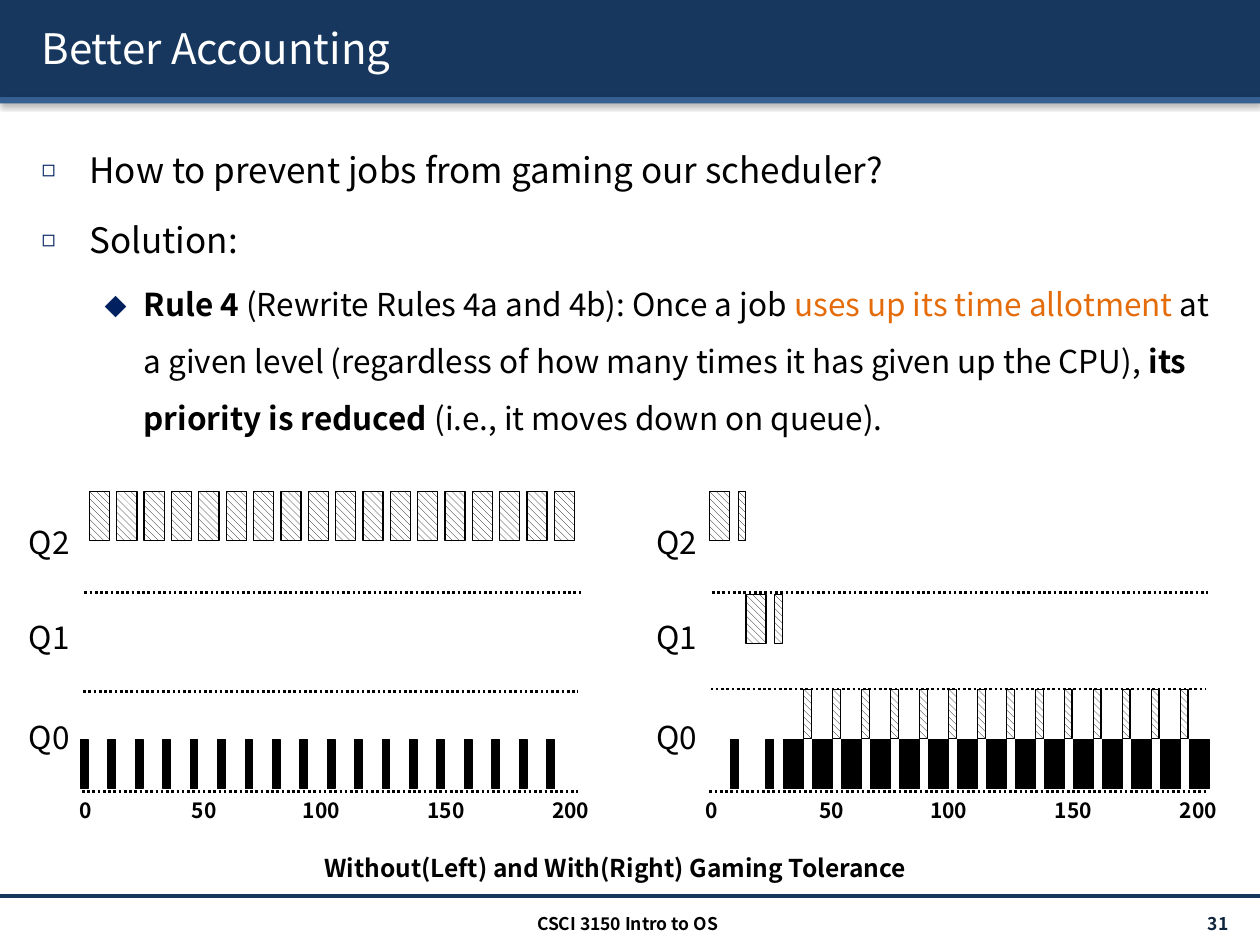
from lxml import etree
from pptx import Presentation
from pptx import util as u
from pptx.dml.color import RGBColor
from pptx.enum import dml, shapes, text
from pptx.oxml import ns

COLORS = {"navy": "17375E", "blue": "376092", "bullet": "002060", "orange": "E46C0A",
          "number": "0F243E", "black": "000000", "white": "FFFFFF"}
RGB = {name: RGBColor.from_string(value) for name, value in COLORS.items()}
FONT = "Noto Sans CJK KR"
ALIGN = text.PP_ALIGN
SHADOW = ('<a:effectLst xmlns:a="http://schemas.openxmlformats.org/drawingml/2006/main">'
          '<a:outerShdw blurRad="{}" dist="{}" dir="{}" algn="tl" rotWithShape="0">'
          '<a:srgbClr val="000000"><a:alpha val="{}"/></a:srgbClr>'
          '</a:outerShdw></a:effectLst>')


def add_text(parent, words, box, size, align, bold=False, color="black", middle=False):
    tb = parent.add_textbox(*map(u.Inches, box))
    tf = tb.text_frame
    tf.word_wrap = True
    tf.vertical_anchor = text.MSO_ANCHOR.MIDDLE if middle else text.MSO_ANCHOR.TOP
    p = tf.paragraphs[0]
    p.alignment = align
    r = p.add_run()
    r.text = words
    for key, value in {"name": FONT, "size": u.Pt(size), "bold": bold}.items():
        setattr(r.font, key, value)
    r.font.color.rgb = RGB[color]


def add_line(parent, x1, x2, y, color, width, dash=None):
    line = parent.add_connector(shapes.MSO_CONNECTOR.STRAIGHT,
                                *map(u.Inches, (x1, y, x2, y)))
    line.line.color.rgb = RGB[color]
    line.line.width = u.Pt(width)
    line.line.dash_style = dash
    etree.SubElement(line.element.spPr, ns.qn("a:effectLst"))


prs = Presentation()
prs.slide_width, prs.slide_height = u.Inches(10), u.Inches(7.5)
s = prs.slides.add_slide(prs.slide_layouts[1])
title, body = s.placeholders

# Header band and footer rule, behind the text
for top, height, color in ((0, 0.77, "navy"), (0.77, 0.05, "blue")):
    sp = s.shapes.add_shape(shapes.MSO_SHAPE.RECTANGLE, 0, u.Inches(top),
                            u.Inches(10), u.Inches(height))
    sp.fill.solid()
    sp.fill.fore_color.rgb = RGB[color]
    sp.line.fill.background()
    sp.element.spPr.append(etree.fromstring(SHADOW.format(39370, 20320, 5400000, 38000)))
    title.element.addprevious(sp.element)
add_line(s.shapes, 0, 10, 7.11, "navy", 2)

# Title
for ph, box in ((title, (0.23, 0.06, 9.61, 0.64)), (body, (0.23, 0.96, 9.61, 6.02))):
    ph.left, ph.top, ph.width, ph.height = map(u.Inches, box)
    ph.text_frame.auto_size = text.MSO_AUTO_SIZE.NONE
tf = title.text_frame
tf.vertical_anchor = text.MSO_ANCHOR.MIDDLE
p = tf.paragraphs[0]
p.alignment = ALIGN.LEFT
r = p.add_run()
r.text = "Better Accounting"
r.font.color.rgb = RGB["white"]
r.font.size = u.Pt(24)
r.font._element.append(etree.fromstring(SHADOW.format(0, 25400, 2700000, 100000)))
r.font.name = FONT

# Bullet list: level, runs of (words, bold, color)
bullets = [
    (0, [("How to prevent jobs from gaming our scheduler?", False, "black")]),
    (0, [("Solution:", False, "black")]),
    (1, [("Rule 4 ", True, "black"),
         ("(Rewrite Rules 4a and 4b): Once a job ", False, "black"),
         ("uses up its time allotment ", False, "orange"),
         ("at a given level (regardless of how many times it has given up the CPU), ",
          False, "black"),
         ("its priority is reduced ", True, "black"),
         ("(i.e., it moves down on queue).", False, "black")]),
]
# Per level: text size, left margin, hanging indent, bullet, bullet size in percent
levels = [(20, 0.38, -0.38, "◻", 65), (18, 0.81, -0.31, "⬥", 100)]
tf = body.text_frame
for i, (level, runs) in enumerate(bullets):
    size, margin, indent, char, percent = levels[level]
    p = tf.paragraphs[0] if i == 0 else tf.add_paragraph()
    for key, value in {"level": level, "line_spacing": 1.5,
                       "space_before": u.Pt(size * 0.2)}.items():
        setattr(p, key, value)
    pPr = p._p.get_or_add_pPr()
    pPr.set("marL", str(u.Inches(margin)))
    pPr.set("indent", str(u.Inches(indent)))
    clr = etree.SubElement(pPr, ns.qn("a:buClr"))
    etree.SubElement(clr, ns.qn("a:srgbClr"), val=COLORS["bullet"])
    etree.SubElement(pPr, ns.qn("a:buSzPct"), val=str(percent * 1000))
    etree.SubElement(pPr, ns.qn("a:buChar"), char=char)
    for words, bold, color in runs:
        r = p.add_run()
        r.text = words
        for key, value in {"name": FONT, "size": u.Pt(size), "bold": bold}.items():
            setattr(r.font, key, value)
        r.font.color.rgb = RGB[color]

# Footer
add_text(s.shapes, "31 ", (8.71, 7.21, 1.17, 0.24), 10, ALIGN.RIGHT, True, "number", True)
add_text(s.shapes, "CSCI 3150 Intro to OS", (3.32, 7.2, 3.32, 0.24), 10, ALIGN.CENTER, True)

# Timelines. Bar rows: first left, top, width, count, pitch, hatched
WIDE, NARROW = 0.16, 0.06
timelines = [
    {"labels": -0.04,
     "lines": [(0.67, 4.61, 4.7), (0.66, 4.59, 5.49), (0.65, 4.59, 6.28)],
     "ticks": [0.65, 1.62, 2.55, 3.54, 4.53],
     "bars": [(0.64, 5.87, NARROW, 18, 3.7 / 17, False),
              (0.71, 3.9, WIDE, 18, 3.69 / 17, True)]},
    {"labels": 4.94,
     "lines": [(5.65, 9.59, 4.7), (5.64, 9.57, 5.47), (5.63, 9.57, 6.28)],
     "ticks": [5.62, 6.6, 7.53, 8.52, 9.51],
     "bars": [(5.63, 3.9, WIDE, 1, 0, True), (5.86, 3.9, NARROW, 1, 0, True),
              (5.92, 4.72, WIDE, 1, 0, True), (6.15, 4.72, NARROW, 1, 0, True),
              (5.8, 5.87, NARROW, 2, 0.28, False),
              (6.22, 5.87, WIDE, 15, 0.23, False),
              (6.38, 5.47, NARROW, 14, 0.23, True)]},
]
for timeline in timelines:
    group = s.shapes.add_group_shape().shapes
    for x1, x2, y in timeline["lines"]:
        add_line(group, x1, x2, y, "black", 1.5, dml.MSO_LINE.ROUND_DOT)
    for i, center in enumerate(timeline["ticks"]):
        width = (0.24, 0.47, 0.61, 0.61, 0.61)[i]
        add_text(group, str(50 * i), (center - width / 2, 6.28, width, 0.3),
                 12, ALIGN.CENTER, True)
    for queue, top in (("Q2", 4.1), ("Q1", 4.86), ("Q0", 5.65)):
        add_text(group, queue, (timeline["labels"], top, 0.69, 0.4), 18, ALIGN.RIGHT)
    for left, top, width, count, pitch, hatched in timeline["bars"]:
        for i in range(count):
            bar = group.add_shape(shapes.MSO_SHAPE.RECTANGLE,
                                  *map(u.Inches, (left + i * pitch, top, width, 0.39)))
            bar.shadow.inherit = False
            if hatched:
                bar.fill.patterned()
                bar.fill.pattern = dml.MSO_PATTERN.WIDE_DOWNWARD_DIAGONAL
                bar.fill.back_color.rgb = RGB["white"]
            else:
                bar.fill.solid()
            bar.fill.fore_color.rgb = RGB["black"]
            bar.line.color.rgb = RGB["black"]
            bar.line.width = u.Pt(0.75)

# Caption
add_text(s.shapes, "Without(Left) and With(Right) Gaming Tolerance",
         (1.3, 6.72, 7.17, 0.34), 14, ALIGN.CENTER, True)

prs.save("out.pptx")
